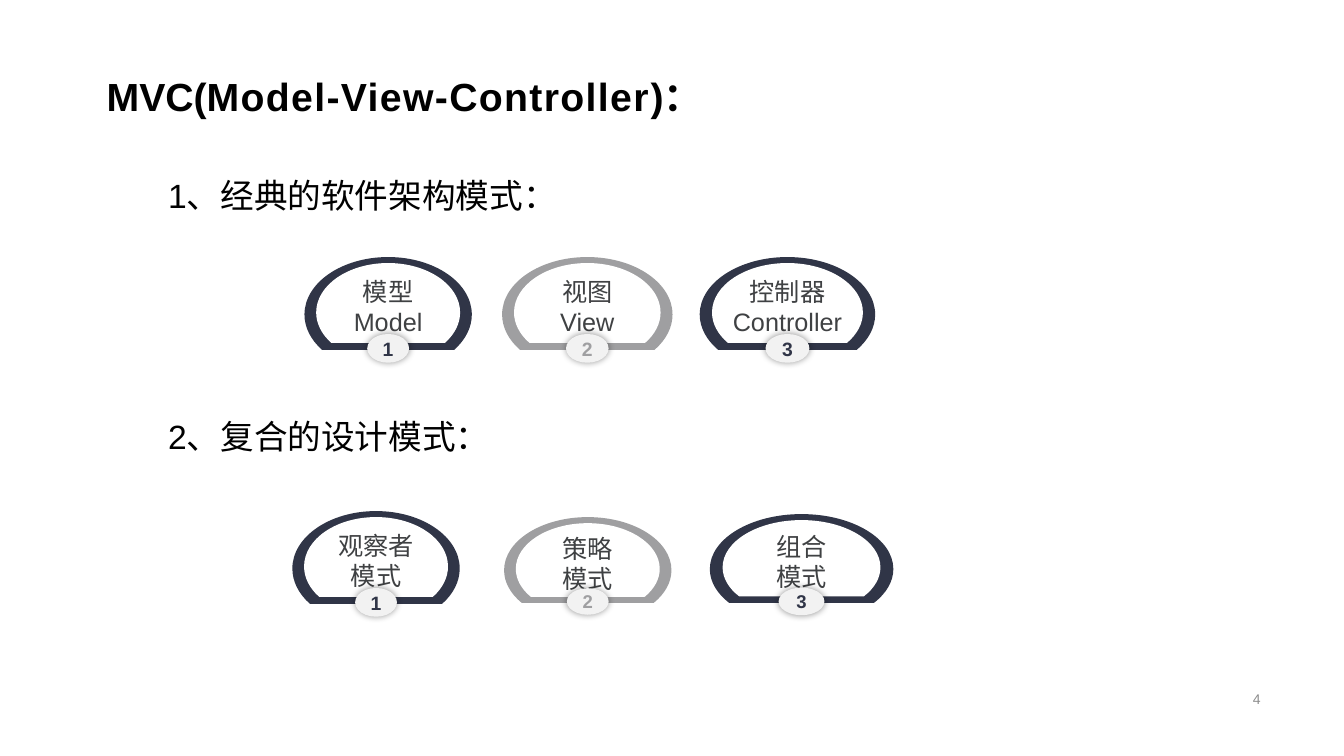
import math
from itertools import pairwise

from lxml import etree
from pptx import Presentation
from pptx import util as u
from pptx.dml import color
from pptx.enum import shapes, text
from pptx.oxml import ns

PX = 9144
COLORS = {
    "black": "000000",
    "navy": "303547",
    "gray": "9F9FA1",
    "white": "FFFFFF",
    "badge": "F2F2F2",
    "label": "3F4143",
    "number": "8C8C8C",
}


def px(value):
    return round(value * PX)


def rgb(name):
    return color.RGBColor.from_string(COLORS[name])


def write(shape, content, size=18, ink="black", bold=False, font="Arial",
          align=text.PP_ALIGN.LEFT, anchor=text.MSO_ANCHOR.TOP, insets=(10, 5, 10, 5)):
    frame = shape.text_frame
    frame.word_wrap = True
    frame.vertical_anchor = anchor
    frame.margin_left, frame.margin_top, frame.margin_right, frame.margin_bottom = map(px, insets)
    for index, line in enumerate(content):
        paragraph = frame.paragraphs[0] if index == 0 else frame.add_paragraph()
        paragraph.alignment = align
        for words, spacing in line:
            run = paragraph.add_run()
            run.text = words
            run.font.name = font
            run.font.size = u.Pt(size)
            run.font.bold = bold
            run.font.color.rgb = rgb(ink)
            if spacing:
                run.font._element.set("spc", str(spacing * 100))


def plain(*lines):
    return [[(line, 0)] for line in lines]


def dome_points(left, top, width, height):
    radius_x, radius_y = width / 2, height * 0.62
    cut = math.asin(height / radius_y - 1)

    def place(angle, pull=0):
        x = math.cos(angle) - pull * math.sin(angle)
        y = math.sin(angle) + pull * math.cos(angle)
        return px(left + radius_x * (1 + x)), px(top + radius_y * (1 + y))

    angles = [math.pi - cut, math.pi, 1.5 * math.pi, 2 * math.pi, 2 * math.pi + cut]
    points = [place(angles[0])]
    for start, end in pairwise(angles):
        pull = 4 / 3 * math.tan((end - start) / 4)
        points += [place(start, pull), place(end, -pull), place(end)]
    return points


def bend(shape):
    lines = list(shape._element.iter(ns.qn("a:lnTo")))
    for index in range(0, len(lines), 3):
        curve = etree.Element(ns.qn("a:cubicBezTo"))
        lines[index].addprevious(curve)
        for line in lines[index:index + 3]:
            curve.append(line[0])
            line.getparent().remove(line)


class SlideBuilder:
    def __init__(self, slide):
        self.slide = slide

    def paint(self, shape, fill):
        shape.fill.solid()
        shape.fill.fore_color.rgb = rgb(fill)
        shape.line.fill.background()
        shape.shadow.inherit = False

    def textbox(self, left, top, width, height, content, **style):
        shape = self.slide.shapes.add_textbox(*map(px, (left, top, width, height)))
        write(shape, content, **style)

    def dome(self, group, left, top, width, height, fill):
        first, *others = dome_points(left, top, width, height)
        builder = group.shapes.build_freeform(*first)
        builder.add_line_segments(others, close=True)
        shape = builder.convert_to_shape()
        bend(shape)
        self.paint(shape, fill)
        return shape

    def badge(self, group, left, top, width, height, number, ink, size):
        shape = group.shapes.add_shape(
            shapes.MSO_SHAPE.OVAL, *map(px, (left, top, width, height)))
        self.paint(shape, "badge")
        effects = shape._element.spPr.find(ns.qn("a:effectLst"))
        shadow = etree.SubElement(effects, ns.qn("a:outerShdw"), blurRad=str(u.Pt(5)),
                                  dist="0", dir="0", algn="ctr", rotWithShape="0")
        tint = etree.SubElement(shadow, ns.qn("a:srgbClr"), val=COLORS["black"])
        etree.SubElement(tint, ns.qn("a:alpha"), val="40000")
        write(shape, plain(number), size=size, ink=ink, bold=True,
              align=text.PP_ALIGN.CENTER, anchor=text.MSO_ANCHOR.MIDDLE, insets=(0, 0, 0, 0))

    def card(self, left, top, width, height, number, ink, lines):
        group = self.slide.shapes.add_group_shape()
        self.dome(group, left, top, width, height, ink)
        inner = self.dome(group, left + width * 0.07, top + 6,
                          width * 0.86, height * 0.86, "white")
        write(inner, plain(*lines), ink="label", align=text.PP_ALIGN.CENTER,
              anchor=text.MSO_ANCHOR.MIDDLE, insets=(10, 12, 10, 5))
        badge_width = width * 0.25
        self.badge(group, left + (width - badge_width) / 2, top + height * 0.83,
                   badge_width, height * 0.31, number, ink, max(13.2, height * 0.15))


def main():
    presentation = Presentation()
    presentation.slide_width = px(1333)
    presentation.slide_height = px(750)
    page = SlideBuilder(presentation.slides.add_slide(presentation.slide_layouts[6]))

    page.textbox(942, 682, 318, 23, plain("4"), size=10, ink="number",
                 align=text.PP_ALIGN.RIGHT, anchor=text.MSO_ANCHOR.MIDDLE)
    title = [[("MVC(", 0), ("Model-View-Controller", 1), (")：", 0)]]
    page.textbox(96, 67, 1047, 57, title, size=28, bold=True)
    page.textbox(157, 169, 1039, 50, plain("1、经典的软件架构模式："), size=24)
    page.textbox(157, 408, 1001, 50, plain("2、复合的设计模式："), size=24)

    cards = [
        (302, 255, 166, 92, "1", "navy", ("模型", "Model")),
        (498, 255, 169, 92, "2", "gray", ("视图", "View")),
        (694, 255, 174, 92, "3", "navy", ("控制器", "Controller")),
        (704, 510, 182, 88, "3", "navy", ("组合", "模式")),
        (500, 513, 166, 85, "2", "gray", ("策略", "模式")),
        (290, 507, 166, 92, "1", "navy", ("观察者", "模式")),
    ]
    for card in cards:
        page.card(*card)

    presentation.save("out.pptx")


if __name__ == "__main__":
    main()
